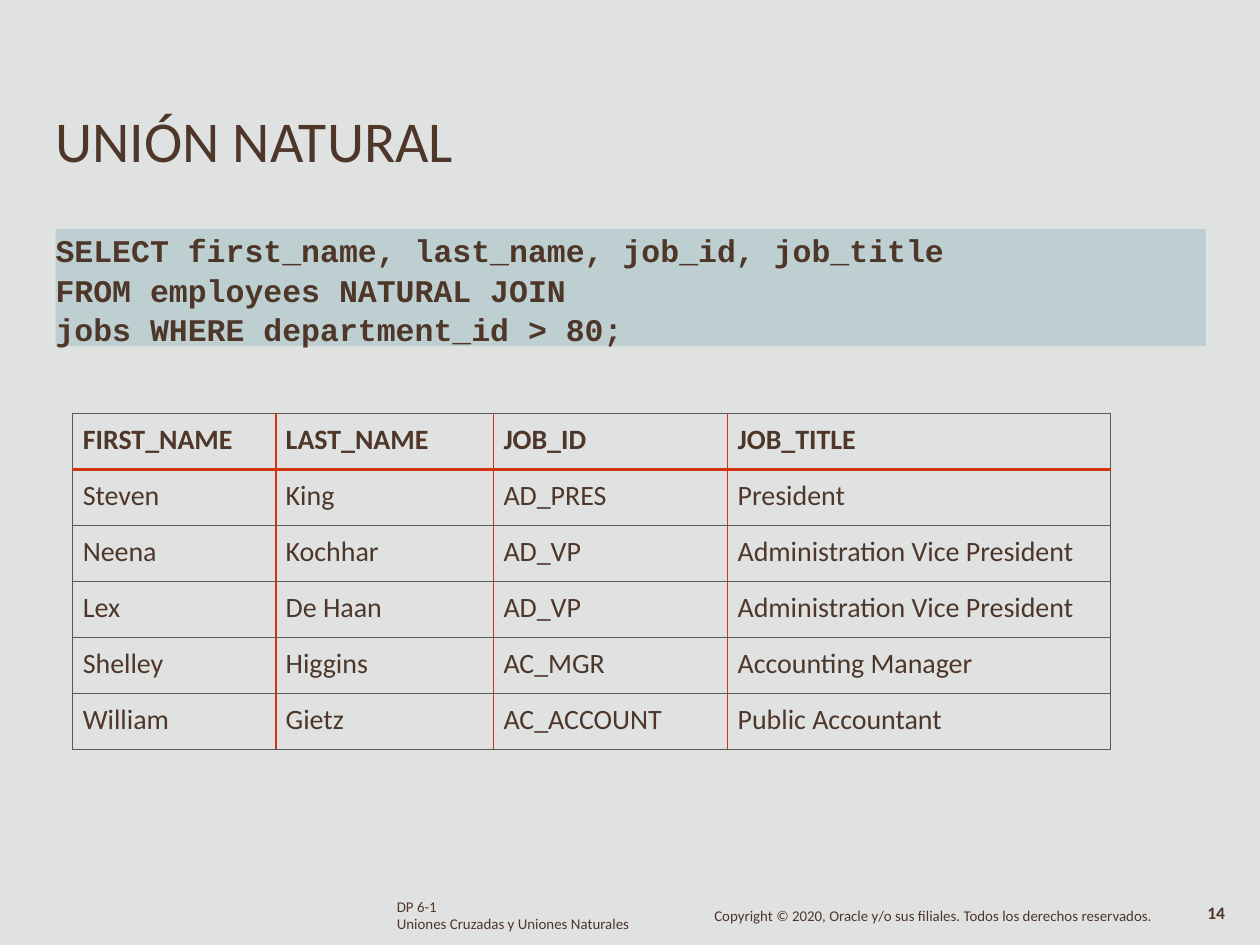
from dataclasses import dataclass

from lxml.etree import SubElement
from pptx import Presentation
from pptx.dml.color import RGBColor
from pptx.enum.shapes import MSO_SHAPE
from pptx.enum.text import MSO_ANCHOR, PP_ALIGN
from pptx.oxml.ns import qn
from pptx.util import Cm, Pt

BROWN = RGBColor(0x4E, 0x36, 0x29)
PALE_GREY = RGBColor(0xE0, 0xE2, 0xE1)
TEAL = RGBColor(0x9D, 0xBE, 0xC4)
RED = RGBColor(0xD1, 0x35, 0x0F)
DARK_GREY = RGBColor(0x59, 0x59, 0x59)


@dataclass(frozen=True)
class Label:
    lines: tuple[str, ...]
    left: float
    top: float
    width: float
    height: float
    size: float
    bold: bool = False
    spacing: float | None = None


@dataclass(frozen=True)
class Border:
    color: RGBColor
    points: float


THIN = Border(DARK_GREY, 0.75)
COLUMN_RULE = Border(RED, 1)
HEADER_RULE = Border(RED, 2.25)

LABELS = (
    Label(("UNIÓN NATURAL",), 1.12, 2.11, 12.57, 1.47, 33),
    Label(("DP 6-1", "Uniones Cruzadas y Uniones Naturales"),
          8, 18.11, 5, 0.69, 8.5, spacing=9.7),
    Label(("14",), 24.34, 18.24, 0.8, 0.43, 10, bold=True, spacing=10.4),
    Label(("Copyright © 2020, Oracle y/o sus filiales. Todos los derechos reservados.",),
          14.4, 18.31, 9.2, 0.38, 8.5, spacing=9.1),
)

QUERY = (
    "SELECT first_name, last_name, job_id, job_title",
    "FROM employees NATURAL JOIN",
    "jobs WHERE department_id > 80;",
)

COLUMN_WIDTHS = (4.09, 4.39, 4.72, 7.72)
ROW_HEIGHT = 1.13
EMPLOYEES = (
    ("FIRST_NAME", "LAST_NAME", "JOB_ID", "JOB_TITLE"),
    ("Steven", "King", "AD_PRES", "President"),
    ("Neena", "Kochhar", "AD_VP", "Administration Vice President"),
    ("Lex", "De Haan", "AD_VP", "Administration Vice President"),
    ("Shelley", "Higgins", "AC_MGR", "Accounting Manager"),
    ("William", "Gietz", "AC_ACCOUNT", "Public Accountant"),
)


def write_lines(frame, lines: tuple[str, ...], size: float, bold: bool = False,
                font_name: str = "Calibri", spacing=None) -> None:
    for index, line in enumerate(lines):
        paragraph = frame.paragraphs[0] if index == 0 else frame.add_paragraph()
        paragraph.alignment = PP_ALIGN.LEFT
        if spacing is not None:
            paragraph.line_spacing = spacing
        run = paragraph.add_run()
        run.text = line
        run.font.name = font_name
        run.font.size = Pt(size)
        run.font.bold = bold
        run.font.color.rgb = BROWN


def clear_margins(frame) -> None:
    frame.margin_left = frame.margin_top = 0
    frame.margin_right = frame.margin_bottom = 0
    frame.word_wrap = True
    frame.vertical_anchor = MSO_ANCHOR.TOP


def add_label(slide, label: Label) -> None:
    box = slide.shapes.add_textbox(
        Cm(label.left), Cm(label.top), Cm(label.width), Cm(label.height))
    clear_margins(box.text_frame)
    write_lines(box.text_frame, label.lines, label.size, label.bold,
                spacing=Pt(label.spacing) if label.spacing else None)


def add_query(slide) -> None:
    panel = slide.shapes.add_shape(
        MSO_SHAPE.RECTANGLE, Cm(1.12), Cm(4.62), Cm(23.19), Cm(2.36))
    panel.shadow.inherit = False
    panel.line.fill.background()
    panel.fill.solid()
    panel.fill.fore_color.rgb = TEAL
    color = panel.fill._xPr.find(qn("a:solidFill"))[0]
    SubElement(color, qn("a:alpha"), val="50000")
    clear_margins(panel.text_frame)
    write_lines(panel.text_frame, QUERY, 18, True, "Courier New", 1.05)


def set_border(cell, side: str, border: Border) -> None:
    """Draw one side of a cell: L, R, T or B, called in that order."""
    line = SubElement(cell._tc.get_or_add_tcPr(), qn(f"a:ln{side}"),
                      w=str(Pt(border.points)))
    fill = SubElement(line, qn("a:solidFill"))
    SubElement(fill, qn("a:srgbClr"), val=str(border.color))


def add_employees(slide) -> None:
    row_count, column_count = len(EMPLOYEES), len(COLUMN_WIDTHS)
    table = slide.shapes.add_table(
        row_count, column_count, Cm(1.47), Cm(8.33),
        Cm(sum(COLUMN_WIDTHS)), Cm(ROW_HEIGHT * row_count)).table
    table.horz_banding = False
    for column, width in zip(table.columns, COLUMN_WIDTHS):
        column.width = Cm(width)
    for row_index, values in enumerate(EMPLOYEES):
        table.rows[row_index].height = Cm(ROW_HEIGHT)
        is_header = row_index == 0
        for column_index, value in enumerate(values):
            cell = table.cell(row_index, column_index)
            cell.margin_left = Cm(0.2)
            cell.margin_top = Cm(0.2)
            cell.margin_right = cell.margin_bottom = 0
            set_border(cell, "L", COLUMN_RULE if column_index else THIN)
            set_border(cell, "R", COLUMN_RULE if column_index < column_count - 1 else THIN)
            set_border(cell, "T", HEADER_RULE if row_index == 1 else THIN)
            set_border(cell, "B", HEADER_RULE if is_header else THIN)
            cell.fill.background()
            write_lines(cell.text_frame, (value,), 16, is_header)


def main() -> None:
    presentation = Presentation()
    presentation.slide_width = Cm(25.4)
    presentation.slide_height = Cm(19.05)
    slide = presentation.slides.add_slide(presentation.slide_layouts[6])
    slide.background.fill.solid()
    slide.background.fill.fore_color.rgb = PALE_GREY
    for label in LABELS:
        add_label(slide, label)
    add_employees(slide)
    add_query(slide)
    presentation.save("out.pptx")


if __name__ == "__main__":
    main()
